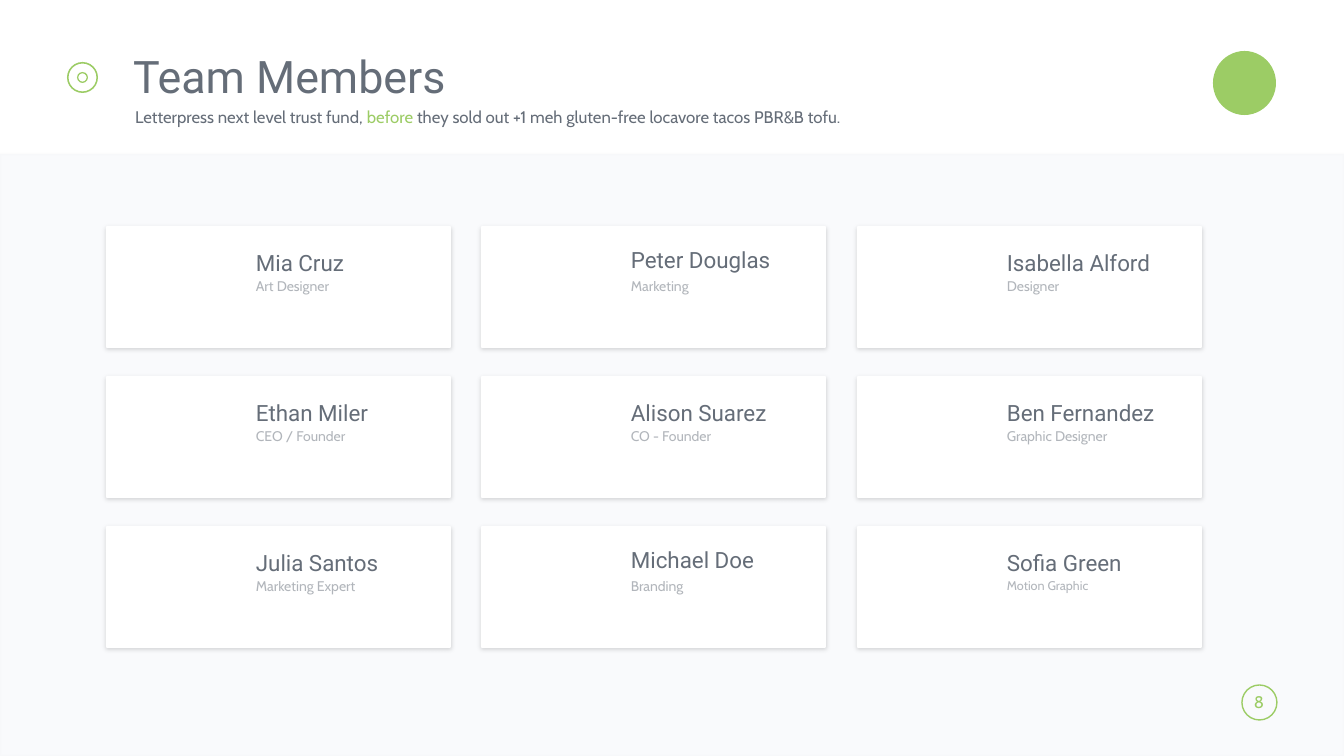
import pptx
import pptx.util
import pptx.dml.color
import pptx.enum.shapes
import pptx.enum.text
import pptx.oxml
import pptx.oxml.ns
from dataclasses import dataclass
from lxml import etree

PX = 914400 / 100.8
SHAPE = pptx.enum.shapes.MSO_SHAPE
ALIGN = pptx.enum.text.PP_ALIGN


@dataclass(frozen=True)
class Theme:
    green: str = "9CCC65"
    ink: str = "656D78"
    white: str = "FFFFFF"
    panel: str = "7B8DB3"
    edge: str = "EBEBEB"
    heading: str = "Roboto"
    text: str = "Cabin"
    title_size: int = 32
    body_size: int = 12
    name_size: int = 16
    role_size: int = 10
    small_size: int = 9


def px(*values):
    return [round(v * PX) for v in values]


def paint(color_format, color, alpha=100):
    color_format.rgb = pptx.dml.color.RGBColor.from_string(color)
    if alpha < 100:
        node = color_format._xFill.find(".//" + pptx.oxml.ns.qn("a:srgbClr"))
        etree.SubElement(node, pptx.oxml.ns.qn("a:alpha"), val=str(alpha * 1000))


class Deck:
    def __init__(self, theme):
        self.theme = theme
        self.prs = pptx.Presentation()
        self.prs.slide_width, self.prs.slide_height = px(1344, 756)
        self.slide = self.prs.slides.add_slide(self.prs.slide_layouts[1])

    def shape(self, kind, box, fill=None, alpha=100, line=None, width=1,
              line_alpha=100, adj=None, parent=None):
        sp = (parent or self.slide).shapes.add_shape(kind, *px(*box))
        sp.shadow.inherit = False
        if adj is not None:
            sp.adjustments[0] = adj
        if fill:
            sp.fill.solid()
            paint(sp.fill.fore_color, fill, alpha)
        else:
            sp.fill.background()
        if line:
            sp.line.width = pptx.util.Pt(width)
            sp.line.fill.solid()
            paint(sp.line.fill.fore_color, line, line_alpha)
        else:
            sp.line.fill.background()
        return sp

    def soft_shadow(self, sp):
        effects = sp._element.spPr.find(pptx.oxml.ns.qn("a:effectLst"))
        effects.append(pptx.oxml.parse_xml(
            f'<a:outerShdw {pptx.oxml.ns.nsdecls("a")} blurRad="38100" dist="12700" '
            'dir="5400000" algn="t" rotWithShape="0"><a:srgbClr val="000000">'
            '<a:alpha val="15000"/></a:srgbClr></a:outerShdw>'))

    def add_runs(self, sp, runs, size, font, spacing=1.0, align=ALIGN.LEFT, alpha=100):
        tf = sp.text_frame
        tf.vertical_anchor = pptx.enum.text.MSO_ANCHOR.TOP
        p = tf.paragraphs[0]
        p.alignment, p.line_spacing = align, spacing
        p.space_before = pptx.util.Pt(0)
        for text, color in runs:
            r = p.add_run()
            r.text = text
            r.font.size, r.font.name = pptx.util.Pt(size), font
            r.font.fill.solid()
            paint(r.font.fill.fore_color, color, alpha)

    def text(self, box, runs, size, font, wrap=True, parent=None, **style):
        sp = (parent or self.slide).shapes.add_textbox(*px(*box))
        sp.text_frame.word_wrap = wrap
        self.add_runs(sp, runs, size, font, **style)

    def placeholder(self, index, box, runs, size, font):
        sp = self.slide.placeholders[index]
        sp.left, sp.top, sp.width, sp.height = px(*box)
        sp.text_frame.auto_size = pptx.enum.text.MSO_AUTO_SIZE.NONE
        pPr = sp.text_frame.paragraphs[0]._p.get_or_add_pPr()
        pPr.set("marL", "0")
        pPr.set("indent", "0")
        etree.SubElement(pPr, pptx.oxml.ns.qn("a:buNone"))
        self.add_runs(sp, runs, size, font, spacing=0.9)

    def card(self, x, y, name, role, name_spacing, role_size):
        t = self.theme
        group = self.slide.shapes.add_group_shape()
        sp = self.shape(SHAPE.ROUNDED_RECTANGLE, (x, y, 345, 122), t.white,
                        adj=0.012, parent=group)
        self.soft_shadow(sp)
        self.text((x + 140, y + 23, 205, 37), [(name, t.ink)], t.name_size,
                  t.heading, parent=group, spacing=name_spacing)
        self.text((x + 140, y + 50, 205, 29), [(role, t.ink)], role_size,
                  t.text, parent=group, spacing=0.8, alpha=50)


def main():
    t = Theme()
    deck = Deck(t)

    # Background panel
    deck.shape(SHAPE.RECTANGLE, (0, 154, 1344, 602), t.panel, 4, t.edge, 2, 10)

    # Header: emblem, ring marker, title and subtitle
    deck.shape(SHAPE.OVAL, (1213, 51, 63, 64), t.green)
    for x, y, size, adj in ((67, 62, 31, 0.05), (77, 72, 11, 0.12)):
        deck.shape(SHAPE.DONUT, (x, y, size, size), t.green, adj=adj)
    deck.placeholder(0, (123, 50, 1015, 53), [("Team Members", t.ink)],
                     t.title_size, t.heading)
    deck.placeholder(1, (125, 104, 912, 29), [
        ("Letterpress next level trust fund, ", t.ink),
        ("before", t.green),
        (" they sold out +1 meh gluten-free locavore tacos PBR&B tofu.", t.ink),
    ], t.body_size, t.text)

    # Team cards, three to a row: name, role, name line spacing, role size
    members = [
        ("Mia Cruz", "Art Designer", 0.8, t.role_size),
        ("Peter Douglas", "Marketing", 0.7, t.role_size),
        ("Isabella Alford", "Designer", 0.8, t.role_size),
        ("Ethan Miler", "CEO / Founder", 0.8, t.role_size),
        ("Alison Suarez", "CO - Founder", 0.8, t.role_size),
        ("Ben Fernandez", "Graphic Designer", 0.8, t.role_size),
        ("Julia Santos", "Marketing Expert", 0.8, t.role_size),
        ("Michael Doe", "Branding", 0.7, t.role_size),
        ("Sofia Green", "Motion Graphic", 0.8, t.small_size),
    ]
    for i, member in enumerate(members):
        row, col = divmod(i, 3)
        deck.card(106 + col * 751 // 2, 226 + row * 150, *member)

    # Page number badge
    deck.shape(SHAPE.ROUNDED_RECTANGLE, (1242, 685, 35, 35), line=t.green, adj=0.5)
    deck.text((1240, 687, 38, 30), [("8", t.green)], t.body_size, t.text,
              wrap=False, align=ALIGN.CENTER)

    deck.prs.save("out.pptx")


if __name__ == "__main__":
    main()
